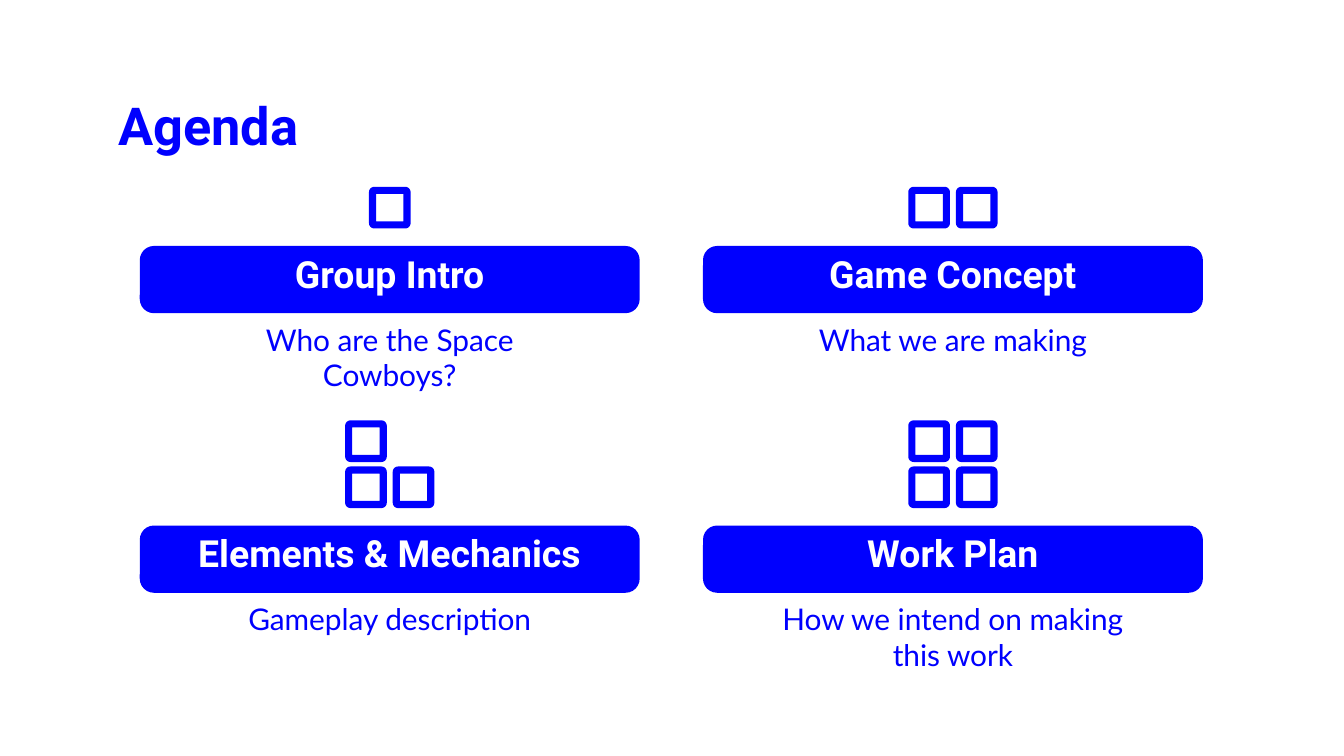
from math import cos, pi, sin

from pptx import Presentation
from pptx.dml.color import RGBColor
from pptx.enum.shapes import MSO_SHAPE
from pptx.enum.text import MSO_ANCHOR, MSO_AUTO_SIZE, PP_ALIGN
from pptx.util import Pt

ROUND = MSO_SHAPE.ROUNDED_RECTANGLE
TOP, BOTTOM = MSO_ANCHOR.TOP, MSO_ANCHOR.BOTTOM
LEFT, CENTER = PP_ALIGN.LEFT, PP_ALIGN.CENTER
FIXED = MSO_AUTO_SIZE.NONE

COLORS = {"blue": "0000FE", "white": "FFFFFF"}
TITLE = "Agenda"
# Heading, detail, squares in each icon row from top to bottom
TOPICS = [
    ("Group Intro", "Who are the Space Cowboys?", (1,)),
    ("Game Concept", "What we are making", (2,)),
    ("Elements & Mechanics", "Gameplay description", (1, 2)),
    ("Work Plan", "How we intend on making this work", (2, 2)),
]

COLS = 2
GRID_X, GRID_Y = 74.9, 131.8
STEP_X, STEP_Y = 301.7, 149.8
BAR_W, BAR_H = 267.8, 36
NOTE_W, NOTE_H, NOTE_DY = 198, 45.4, 33.1
SIDE, WALL, RADIUS = 22.3, 3.8, 2.9
PITCH_X, PITCH_Y, ICON_GAP = 25.5, 24.7, 9.4
PAD = 7.2
ARC = 6


def rgb(name):
    return RGBColor.from_string(COLORS[name])


def paint(shape):
    shape.fill.solid()
    shape.fill.fore_color.rgb = rgb("blue")
    shape.line.fill.background()
    shape.shadow.inherit = False


def write(shape, text, size=16, font="Lato", color="blue", bold=False,
          align=CENTER, anchor=TOP):
    frame = shape.text_frame
    frame.word_wrap = True
    frame.auto_size = FIXED
    frame.vertical_anchor = anchor
    frame.margin_left = frame.margin_right = Pt(PAD)
    frame.margin_top = frame.margin_bottom = Pt(PAD)
    para = frame.paragraphs[0]
    para.alignment = align
    run = para.add_run()
    run.text = text
    run.font.size = Pt(size)
    run.font.name = font
    run.font.bold = bold
    run.font.color.rgb = rgb(color)


def outline(x, y):
    """Points of a round-cornered square, clockwise from its left edge."""
    near, far = RADIUS, SIDE - RADIUS
    corners = [(near, near), (far, near), (far, far), (near, far)]
    points = []
    for turn, (cx, cy) in enumerate(corners):
        for step in range(ARC + 1):
            angle = pi + (turn + step / ARC) * pi / 2
            points.append((Pt(x + cx + RADIUS * cos(angle)),
                           Pt(y + cy + RADIUS * sin(angle))))
    return points


def add_square(shapes, x, y):
    """Hollow square: a rounded outer edge and a sharp inner hole."""
    outer = outline(x, y)
    low, high = WALL, SIDE - WALL
    hole = [(Pt(x + dx), Pt(y + dy)) for dx, dy in
            [(low, low), (low, high), (high, high), (high, low)]]
    path = shapes.build_freeform(*outer[0], scale=1.0)
    path.add_line_segments(outer[1:], close=True)
    path.move_to(*hole[0])
    path.add_line_segments(hole[1:], close=True)
    paint(path.convert_to_shape())


def add_icon(shapes, rows, mid, base):
    """Squares in left-aligned rows, centred on mid and ending at base."""
    group = shapes.add_group_shape()
    left = mid - (SIDE + (max(rows) - 1) * PITCH_X) / 2
    top = base - SIDE - (len(rows) - 1) * PITCH_Y
    for row, count in enumerate(rows):
        for col in range(count):
            add_square(group.shapes, left + col * PITCH_X, top + row * PITCH_Y)


def add_topic(shapes, heading, detail, rows, x, y):
    mid = x + BAR_W / 2
    bar = shapes.add_shape(ROUND, Pt(x), Pt(y), Pt(BAR_W), Pt(BAR_H))
    bar.adjustments[0] = 0.21
    paint(bar)
    write(bar, heading, size=20, font="Roboto", color="white", bold=True,
          anchor=BOTTOM)
    note = shapes.add_textbox(Pt(mid - NOTE_W / 2), Pt(y + NOTE_DY),
                              Pt(NOTE_W), Pt(NOTE_H))
    write(note, detail)
    add_icon(shapes, rows, mid, y - ICON_GAP)


def main():
    deck = Presentation()
    deck.slide_width, deck.slide_height = Pt(720), Pt(405)
    slide = deck.slides.add_slide(deck.slide_layouts[5])
    title = slide.shapes.title
    title.left, title.top = Pt(56.2), Pt(42.5)
    title.width, title.height = Pt(607.7), Pt(45.4)
    write(title, TITLE, size=28, font="Roboto", bold=True, align=LEFT)
    for index, topic in enumerate(TOPICS):
        row, col = divmod(index, COLS)
        add_topic(slide.shapes, *topic, GRID_X + col * STEP_X,
                  GRID_Y + row * STEP_Y)
    deck.save("out.pptx")


if __name__ == "__main__":
    main()
